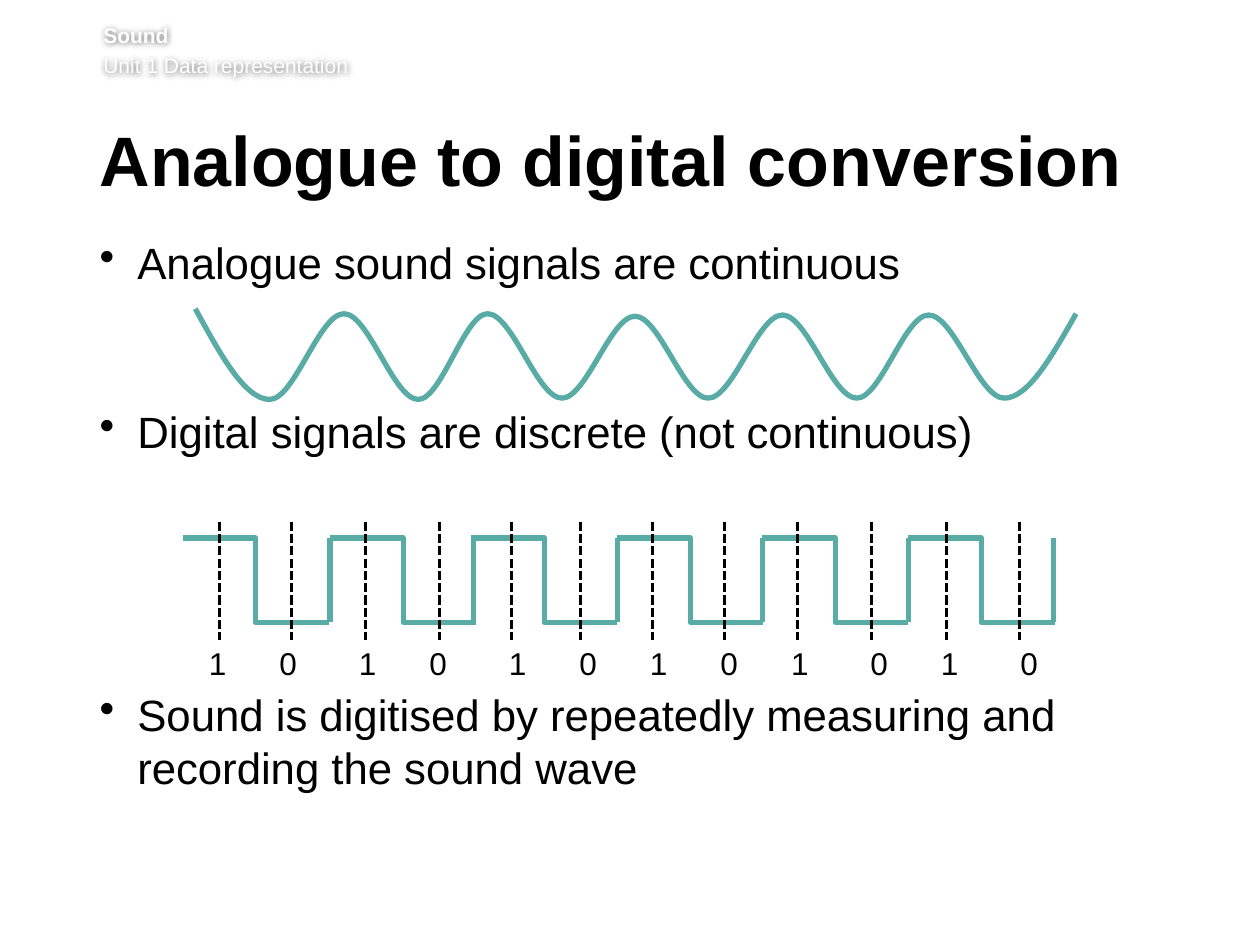
import itertools

import pptx
import pptx.dml.color
import pptx.enum.dml
import pptx.enum.shapes
import pptx.oxml
import pptx.oxml.ns
import pptx.util
from pptx.util import Inches

COLOURS = {"signal": "58ACA5", "text": "000000", "header": "FFFFFF", "shadow": "000000"}
FONT = "Arial"
DRAWING_NS = pptx.oxml.ns.nsdecls("a")
CONNECTOR = pptx.enum.shapes.MSO_CONNECTOR

# Ends, troughs and peaks of the analogue wave
WAVE_POINTS = [
    (1.55, 2.45), (2.14, 3.17), (2.73, 2.49), (3.32, 3.17), (3.87, 2.49),
    (4.46, 3.16), (5.04, 2.51), (5.62, 3.16), (6.21, 2.5), (6.8, 3.16),
    (7.37, 2.5), (7.97, 3.16), (8.54, 2.49),
]
PULSE_STARTS = [1.45, 2.62, 3.74, 4.9, 6.05, 7.21]
PULSE_WIDTH = 1.16
PULSE_RISES = [2.62, 3.76, 4.9, 6.05, 7.21, 8.36]
PULSE_TOP, PULSE_BOTTOM = 4.27, 4.94
SAMPLE_TIMES = [1.74, 2.31, 2.9, 3.49, 4.06, 4.61, 5.18, 5.75, 6.33, 6.92, 7.51, 8.09]
BITS = "101010101010"
NARROW, WIDE = 0.56, 0.63
BIT_GAPS = [NARROW, WIDE, NARROW, WIDE] + [NARROW] * 4 + [WIDE, NARROW, WIDE]
BULLETS = [
    ("Analogue sound signals are continuous", 0),
    ("Digital signals are discrete (not continuous)", 66.5),
    ("Sound is digitised by repeatedly measuring and recording the sound wave", 132),
]


def colour(name):
    return pptx.dml.color.RGBColor.from_string(COLOURS[name])


def add_box(slide, left, top, width, height, margins):
    """Add a wrapping text box; margins are left, top, right, bottom."""
    box = slide.shapes.add_textbox(Inches(left), Inches(top), Inches(width), Inches(height))
    frame = box.text_frame
    frame.word_wrap = True
    frame.margin_left, frame.margin_top, frame.margin_right, frame.margin_bottom = map(Inches, margins)
    return box


def add_span(para, text, size, colour_name="text", bold=False):
    span = para.add_run()
    span.text = text
    span.font.name = FONT
    span.font.size = pptx.util.Pt(size)
    span.font.bold = bold
    span.font.color.rgb = colour(colour_name)


def next_para(frame, index):
    return frame.add_paragraph() if index else frame.paragraphs[0]


def add_header(slide):
    box = add_box(slide, 0.82, 0.18, 8.82, 0.49, (0, 0, 0, 0.05))
    for index, text in enumerate(["Sound", "Unit 1 Data representation"]):
        para = next_para(box.text_frame, index)
        para.space_before = pptx.util.Pt(2.9 * index)
        add_span(para, text, 12, "header", bold=index == 0)
    box._element.spPr.append(pptx.oxml.parse_xml(
        f'<a:effectLst {DRAWING_NS}><a:outerShdw blurRad="50800" dist="0" dir="0">'
        f'<a:srgbClr val="{COLOURS["shadow"]}"><a:alpha val="60000"/></a:srgbClr>'
        "</a:outerShdw></a:effectLst>"))


def add_title(slide):
    box = add_box(slide, 0.79, 1, 8.55, 0.73, (0, 0.05, 0.1, 0.05))
    para = box.text_frame.paragraphs[0]
    para.line_spacing = pptx.util.Pt(39)
    add_span(para, "Analogue to digital conversion", 40, bold=True)


def add_bullets(slide):
    box = add_box(slide, 0.79, 1.87, 8.53, 4.65, (0, 0, 0.1, 0.05))
    for index, (text, gap) in enumerate(BULLETS):
        para = next_para(box.text_frame, index)
        properties = para._p.get_or_add_pPr()
        properties.set("marL", str(Inches(0.3)))
        properties.set("indent", str(Inches(-0.3)))
        properties.append(pptx.oxml.parse_xml(f'<a:buChar {DRAWING_NS} char="•"/>'))
        para.line_spacing = pptx.util.Pt(30)
        para.space_before = pptx.util.Pt(gap)
        add_span(para, text, 25)


def wave_controls():
    """List two control points and an end point for each half wave."""
    points = []
    last = len(WAVE_POINTS) - 2
    for index, ((x1, y1), (x2, y2)) in enumerate(itertools.pairwise(WAVE_POINTS)):
        middle = (y1 + y2) / 2
        third = (x2 - x1) / 3
        points += [
            (x1 + third, middle if index == 0 else y1),
            (x2 - third, middle if index == last else y2),
            (x2, y2),
        ]
    return points


def add_wave(slide):
    start_x, start_y = map(Inches, WAVE_POINTS[0])
    builder = slide.shapes.build_freeform(start_x, start_y)
    builder.add_line_segments([(Inches(x), Inches(y)) for x, y in wave_controls()], close=False)
    wave = builder.convert_to_shape()
    wave.shadow.inherit = False
    wave.fill.background()
    wave.line.color.rgb = colour("signal")
    wave.line.width = pptx.util.Pt(3)
    # Merge every three straight segments into one Bézier curve
    segments = list(wave._element.iter(pptx.oxml.ns.qn("a:lnTo")))
    for first in range(0, len(segments), 3):
        curve = pptx.oxml.parse_xml(f"<a:cubicBezTo {DRAWING_NS}/>")
        segments[first].addprevious(curve)
        for segment in segments[first:first + 3]:
            curve.append(segment[0])
            segment.getparent().remove(segment)


def add_line(shapes, kind, start, end, colour_name, width):
    line = shapes.add_connector(kind, *map(Inches, start + end))
    line.line.color.rgb = colour(colour_name)
    line.line.width = pptx.util.Pt(width)
    line._element.spPr.append(pptx.oxml.parse_xml(f"<a:effectLst {DRAWING_NS}/>"))
    return line


def add_pulses(slide):
    group = slide.shapes.add_group_shape()
    for x in PULSE_STARTS:
        add_line(group.shapes, CONNECTOR.ELBOW, (x, PULSE_TOP),
                 (x + PULSE_WIDTH, PULSE_BOTTOM), "signal", 3)
    for x in PULSE_RISES:
        add_line(group.shapes, CONNECTOR.STRAIGHT, (x, PULSE_TOP), (x, PULSE_BOTTOM), "signal", 3)


def add_samples(slide):
    for x in SAMPLE_TIMES:
        line = add_line(slide.shapes, CONNECTOR.STRAIGHT, (x, 4.14), (x, 5.08), "text", 1.75)
        line.line.dash_style = pptx.enum.dml.MSO_LINE.SQUARE_DOT


def add_bits(slide):
    box = add_box(slide, 1.56, 5.06, 7.18, 0.4, (0.1, 0.05, 0.1, 0.05))
    para = box.text_frame.paragraphs[0]
    tabs = pptx.oxml.parse_xml(f"<a:tabLst {DRAWING_NS}/>")
    for position in itertools.accumulate(BIT_GAPS):
        tabs.append(pptx.oxml.parse_xml(
            f'<a:tab {DRAWING_NS} pos="{Inches(position)}" algn="l"/>'))
    para._p.get_or_add_pPr().append(tabs)
    add_span(para, "\t".join(BITS), 18)


def main():
    deck = pptx.Presentation()
    deck.slide_width, deck.slide_height = Inches(10), Inches(7.5)
    page = deck.slides.add_slide(deck.slide_layouts[6])
    add_header(page)
    add_title(page)
    add_bullets(page)
    add_wave(page)
    add_pulses(page)
    add_samples(page)
    add_bits(page)
    deck.save("out.pptx")


if __name__ == "__main__":
    main()
